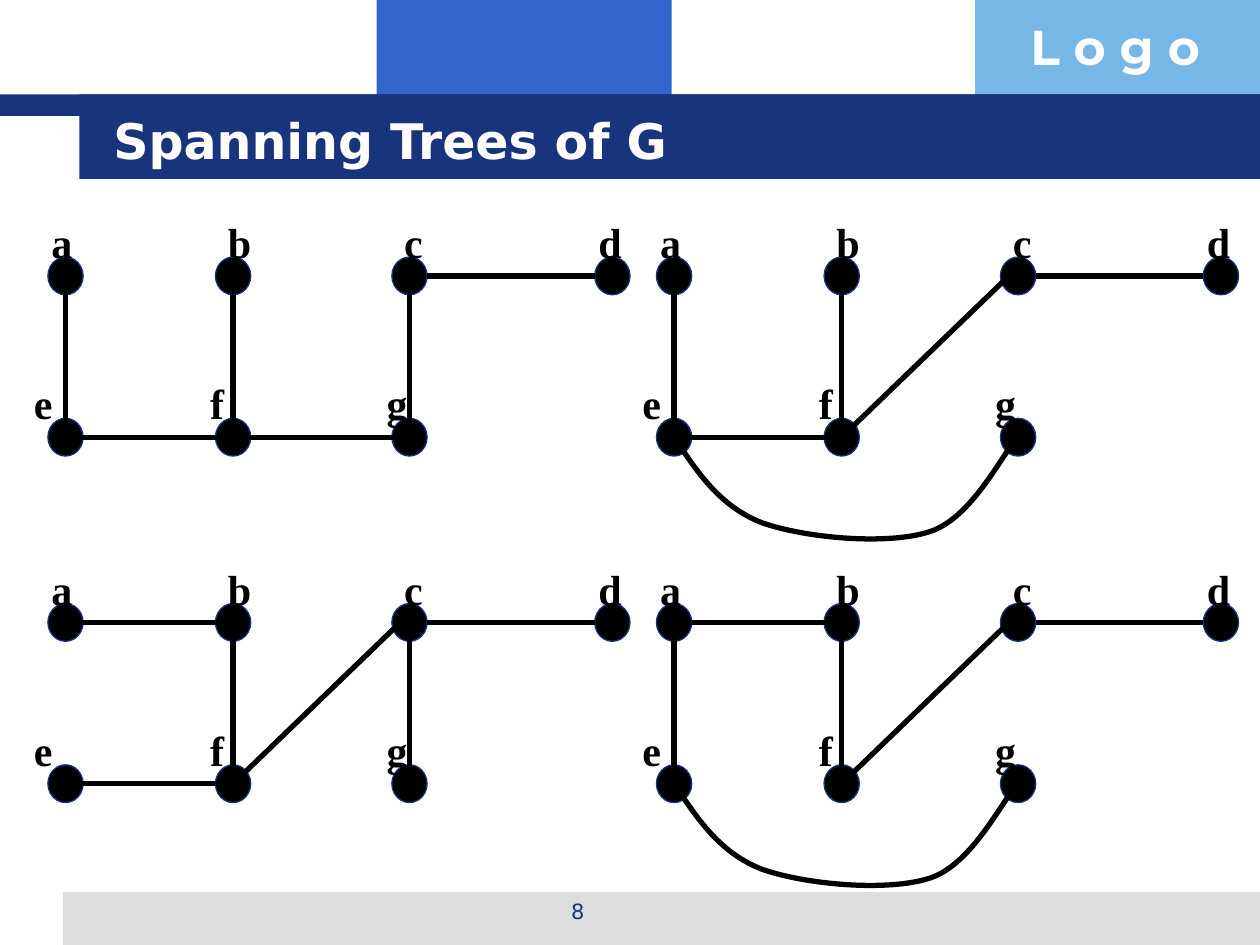
"""Build the slide that shows four spanning trees of the graph G."""
from typing import NamedTuple

from lxml import etree
from pptx import Presentation
from pptx.dml.color import RGBColor
from pptx.enum import shapes as kinds, text as modes
from pptx.oxml import ns
from pptx.util import Inches, Pt

NAVY = RGBColor(0x17, 0x34, 0x7D)
BLUE = RGBColor(0x33, 0x66, 0xCC)
SKY = RGBColor(0x77, 0xB7, 0xE7)
GREY = RGBColor(0xDD, 0xDD, 0xDD)
BLACK = RGBColor(0, 0, 0)
WHITE = RGBColor(0xFF, 0xFF, 0xFF)


class Box(NamedTuple):
    left: float
    top: float
    width: float
    height: float

    def emu(self) -> list:
        return [Inches(v) for v in self]


class Node(NamedTuple):
    left: float
    top: float
    shift: float


class Edge(NamedTuple):
    x1: float
    y1: float
    x2: float
    y2: float


class Tree(NamedTuple):
    left: float
    top: float
    edges: str
    curved: bool


BANDS = [
    (Box(2.99, 0, 2.34, 0.92), BLUE),
    (Box(7.74, 0, 2.26, 0.92), SKY),
    (Box(0.5, 7.08, 9.5, 0.42), GREY),
    (Box(0, 0.75, 10, 0.17), NAVY),
    (Box(0.63, 0.75, 9.37, 0.67), NAVY),
]
NODES = {
    "a": Node(0.38, 2.04, -0.07),
    "b": Node(1.71, 2.04, 0),
    "c": Node(3.11, 2.04, 0),
    "d": Node(4.72, 2.04, -0.07),
    "e": Node(0.38, 3.32, -0.21),
    "f": Node(1.71, 3.32, -0.14),
    "g": Node(3.11, 3.32, -0.14),
}
EDGES = {
    "ab": Edge(0.52, 2.19, 1.85, 2.19),
    "ae": Edge(0.52, 2.19, 0.52, 3.55),
    "bf": Edge(1.85, 2.12, 1.85, 3.47),
    "cd": Edge(3.39, 2.19, 4.72, 2.19),
    "cf": Edge(3.25, 2.12, 1.85, 3.47),
    "cg": Edge(3.25, 2.19, 3.25, 3.47),
    "ef": Edge(0.52, 3.47, 1.85, 3.47),
    "fg": Edge(1.92, 3.47, 3.25, 3.47),
}
ARC = [(0.52, 3.47), (0.7, 3.74), (0.88, 4.02), (1.22, 4.15), (1.56, 4.27),
       (2.21, 4.33), (2.55, 4.22), (2.89, 4.11), (3.13, 3.59), (3.25, 3.47)]
TREES = [
    Tree(0, 0, "cd ef fg bf cg ae", False),
    Tree(4.83, 0, "cd ef bf cf ae", True),
    Tree(0, 2.75, "ab cd ef bf cf cg", False),
    Tree(4.83, 2.75, "ab cd bf cf ae", True),
]


def style(obj, form: dict) -> None:
    for key, val in form.items():
        setattr(obj, key, val)


def write(shape, words: str, name: str, size: int, color: RGBColor,
          bold: bool = True, align=modes.PP_ALIGN.LEFT) -> None:
    frame = shape.text_frame
    frame.word_wrap = True
    frame.text = words
    para = frame.paragraphs[0]
    para.alignment = align
    font = para.runs[0].font
    style(font, {"name": name, "size": Pt(size), "bold": bold})
    font.color.rgb = color


def label(slide, box: Box, *args, **form) -> None:
    write(slide.shapes.add_textbox(*box.emu()), *args, **form)


def fill(slide, kind, box: Box, color: RGBColor):
    shape = slide.shapes.add_shape(kind, *box.emu())
    shape.shadow.inherit = False
    shape.fill.solid()
    shape.fill.fore_color.rgb = color
    shape.line.fill.background()
    return shape


def stroke(shape, color: RGBColor, width: float) -> None:
    shape.line.color.rgb = color
    shape.line.width = Pt(width)


def link(slide, edge: Edge, tree: Tree) -> None:
    ends = [edge.x1 + tree.left, edge.y1 + tree.top,
            edge.x2 + tree.left, edge.y2 + tree.top]
    line = slide.shapes.add_connector(
        kinds.MSO_CONNECTOR.STRAIGHT, *map(Inches, ends))
    stroke(line, BLACK, 3)
    etree.SubElement(line._element.spPr, ns.qn("a:effectLst"))


def bend(slide, tree: Tree) -> None:
    dots = [(Inches(x + tree.left), Inches(y + tree.top)) for x, y in ARC]
    pen = slide.shapes.build_freeform(*dots[0])
    pen.add_line_segments(dots[1:], close=False)
    shape = pen.convert_to_shape()
    shape.shadow.inherit = False
    shape.fill.background()
    stroke(shape, BLACK, 3)
    legs = list(shape._element.iter(ns.qn("a:lnTo")))
    route = legs[0].getparent()
    for i in range(0, len(legs), 3):
        curve = etree.SubElement(route, ns.qn("a:cubicBezTo"))
        for leg in legs[i:i + 3]:
            curve.append(leg[0])
            route.remove(leg)


def draw(slide, tree: Tree) -> None:
    for node in NODES.values():
        box = Box(node.left + tree.left, node.top + tree.top, 0.28, 0.3)
        stroke(fill(slide, kinds.MSO_SHAPE.OVAL, box, BLACK), NAVY, 0.75)
    for key in tree.edges.split():
        link(slide, EDGES[key], tree)
    if tree.curved:
        bend(slide, tree)
    for name, node in NODES.items():
        box = Box(node.left + node.shift + tree.left,
                  node.top - 0.37 + tree.top, 0.35, 0.5)
        label(slide, box, name, "Times New Roman", 24, BLACK)


def main() -> None:
    deck = Presentation()
    style(deck, {"slide_width": Inches(10), "slide_height": Inches(7.5)})
    slide = deck.slides.add_slide(deck.slide_layouts[5])
    for box, color in BANDS:
        fill(slide, kinds.MSO_SHAPE.RECTANGLE, box, color)
    label(slide, Box(8.08, 0.08, 1.93, 0.57), "L o g o", "Montserrat", 28, WHITE)
    label(slide, Box(3.42, 7.08, 2.33, 0.35), "8", "DejaVu Sans", 12, NAVY,
          bold=False, align=modes.PP_ALIGN.CENTER)
    for tree in TREES:
        draw(slide, tree)
    title = slide.shapes.title
    style(title, dict(zip(("left", "top", "width", "height"),
                          Box(0.8, 0.8, 8.53, 0.62).emu())))
    write(title, "Spanning Trees of G", "DejaVu Sans", 28, WHITE)
    style(title.text_frame, {"vertical_anchor": modes.MSO_ANCHOR.MIDDLE,
                             "auto_size": modes.MSO_AUTO_SIZE.NONE})
    slide.shapes._spTree.append(title._element)
    deck.save("out.pptx")


if __name__ == "__main__":
    main()
